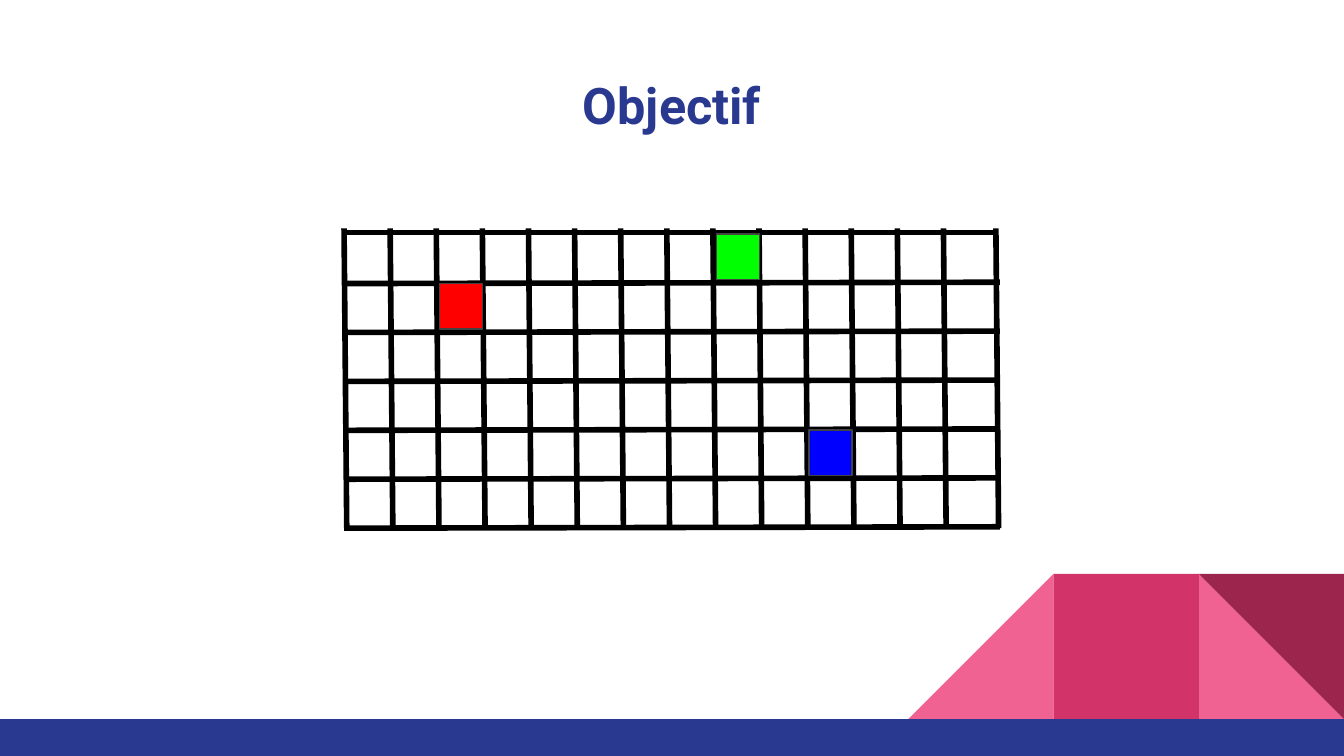
import pptx
import pptx.dml.color
import pptx.enum.shapes
import pptx.enum.text
import pptx.oxml.ns
import pptx.util
from lxml import etree

Inches = pptx.util.Inches
Pt = pptx.util.Pt
SHAPE = pptx.enum.shapes.MSO_SHAPE

COLORS = {
    "navy": "2A3990", "pink": "F06292", "rose": "D23369", "wine": "9C254D",
    "black": "000000", "outline": "434343",
    "red": "FF0000", "green": "00FF00", "blue": "0000FF",
}

# Grid geometry in inches; its lines lean slightly
LEFT, TOP, BOTTOM = 2.56, 1.7, 3.93
LAST_COLUMN, RIGHT_EDGE = 7.02, 7.41
FIRST_ROW, SECOND_ROW = 1.73, 2.11
COLUMNS, ROWS = 13, 5
COLUMN_STEP = (LAST_COLUMN - LEFT) / COLUMNS
ROW_STEP = (BOTTOM - SECOND_ROW) / ROWS
COLUMN_LEAN, ROW_LEAN = 0.02, 0.01


def rgb(name):
    return pptx.dml.color.RGBColor.from_string(COLORS[name])


def add_block(slide, kind, left, top, width, height, fill, outline=None):
    block = slide.shapes.add_shape(
        kind, Inches(left), Inches(top), Inches(width), Inches(height))
    block.shadow.inherit = False
    block.fill.solid()
    block.fill.fore_color.rgb = rgb(fill)
    if outline:
        block.line.color.rgb = rgb(outline)
        block.line.width = Pt(0.75)
    else:
        block.line.fill.background()
    return block


def add_grid_line(slide, x1, y1, x2, y2):
    line = slide.shapes.add_connector(
        pptx.enum.shapes.MSO_CONNECTOR.STRAIGHT,
        Inches(x1), Inches(y1), Inches(x2), Inches(y2))
    line.line.color.rgb = rgb("black")
    line.line.width = Pt(3)
    etree.SubElement(line._element.spPr, pptx.oxml.ns.qn("a:effectLst"))


def add_decoration(slide):
    side, top = 1.08, 4.27
    add_block(slide, SHAPE.RIGHT_TRIANGLE, 8.92, top, side, side, "pink")
    slope = add_block(slide, SHAPE.RIGHT_TRIANGLE, 6.76, top, side, side, "pink")
    slope._element.spPr.xfrm.set("flipH", "1")
    add_block(slide, SHAPE.RECTANGLE, 7.84, top, side, side, "rose")
    corner = add_block(slide, SHAPE.RIGHT_TRIANGLE, 8.92, top, side, side, "wine")
    corner.rotation = 180
    add_block(slide, SHAPE.RECTANGLE, 0, 5.35, 10, 0.28, "navy")


def set_title(slide, text):
    title = slide.shapes.title
    title.left, title.top = Inches(0.34), Inches(0.45)
    title.width, title.height = Inches(9.32), Inches(0.66)
    frame = title.text_frame
    frame.text = text
    frame.word_wrap = True
    frame.auto_size = pptx.enum.text.MSO_AUTO_SIZE.NONE
    frame.vertical_anchor = pptx.enum.text.MSO_ANCHOR.MIDDLE
    frame.margin_left = frame.margin_right = Inches(0.1)
    frame.margin_top = frame.margin_bottom = Inches(0.1)
    paragraph = frame.paragraphs[0]
    paragraph.alignment = pptx.enum.text.PP_ALIGN.CENTER
    paragraph.line_spacing = 1.0
    paragraph.font.name = "Roboto"
    paragraph.font.size = Pt(27)
    paragraph.font.bold = True
    paragraph.font.color.rgb = rgb("navy")


def add_grid(slide):
    # Columns
    columns = [LEFT + i * COLUMN_STEP for i in range(COLUMNS + 1)]
    for x in columns + [RIGHT_EDGE]:
        add_grid_line(slide, x, TOP, x + COLUMN_LEAN, BOTTOM)
    # Rows
    add_grid_line(slide, LEFT, FIRST_ROW, RIGHT_EDGE, FIRST_ROW)
    for i in range(ROWS + 1):
        y = SECOND_ROW + i * ROW_STEP
        add_grid_line(slide, LEFT, y, 7.44, y - ROW_LEAN)


def add_marked_cells(slide):
    for left, top, color in ((3.27, 2.11, "red"), (5.33, 1.74, "green"), (6.02, 3.2, "blue")):
        add_block(slide, SHAPE.RECTANGLE, left, top, 0.32, 0.34, color, "outline")


def main():
    deck = pptx.Presentation()
    # Widescreen, 16:9
    deck.slide_width = Inches(10)
    deck.slide_height = deck.slide_width * 9 // 16
    slide = deck.slides.add_slide(deck.slide_layouts[5])
    add_decoration(slide)
    set_title(slide, "Objectif")
    add_grid(slide)
    add_marked_cells(slide)
    deck.save("out.pptx")


if __name__ == "__main__":
    main()
